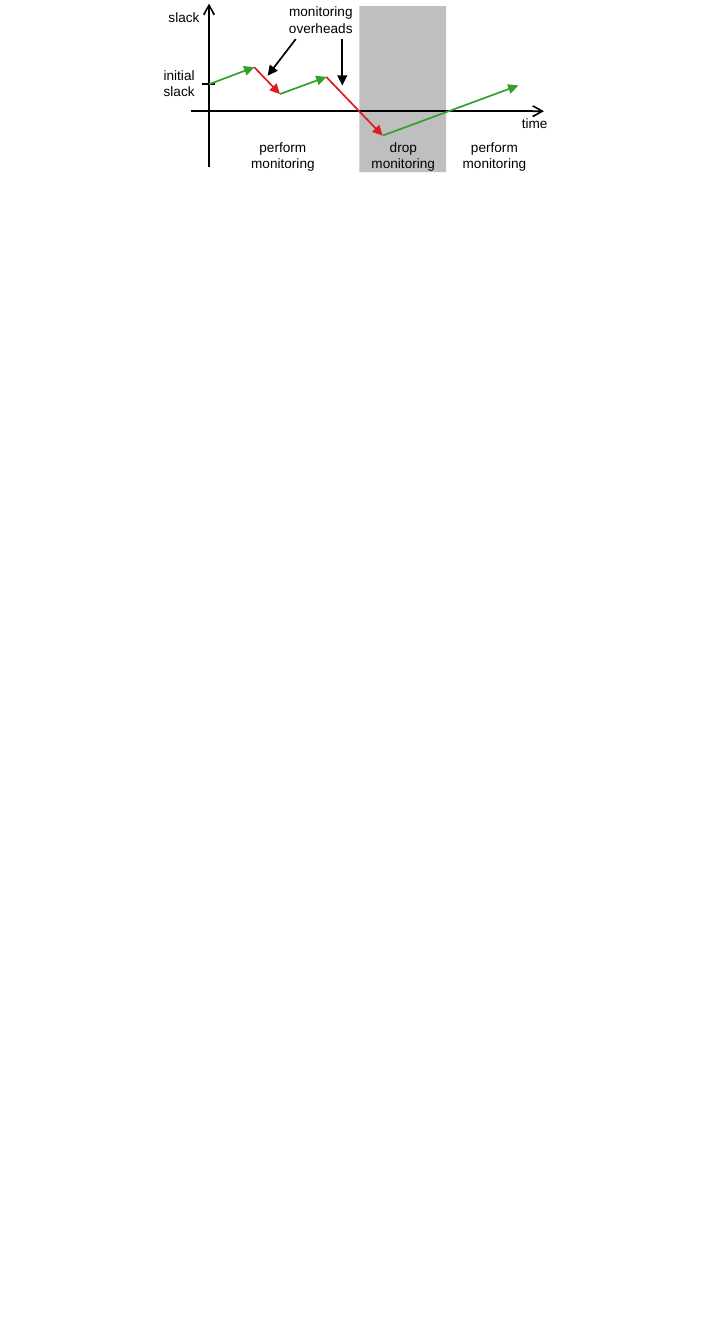
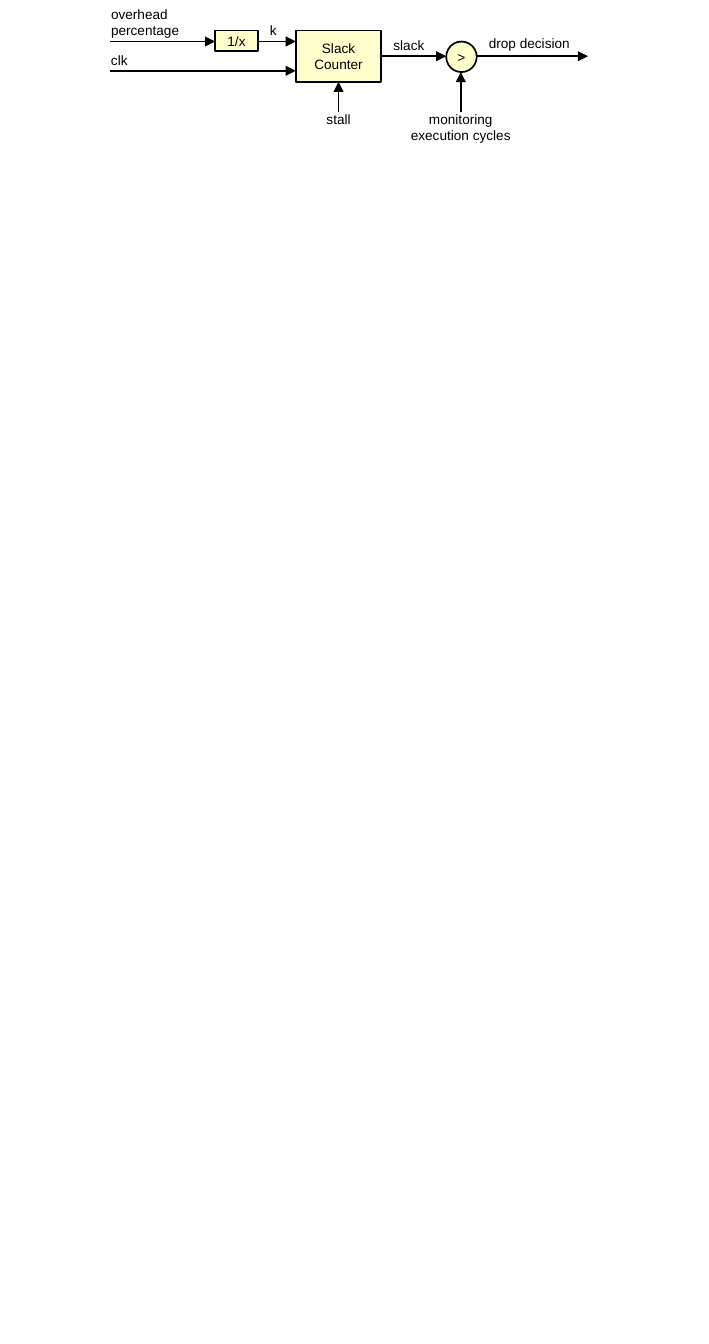
from dataclasses import dataclass
from itertools import cycle
from lxml.etree import SubElement
from pptx import Presentation
from pptx.dml.color import RGBColor
from pptx.enum.shapes import MSO_CONNECTOR, MSO_SHAPE
from pptx.enum.text import MSO_ANCHOR, PP_ALIGN
from pptx.oxml.ns import qn
from pptx.util import Inches, Pt


@dataclass(frozen=True)
class Theme:
    """Colours, font and sizes of the deck."""
    ink: str = "000000"
    band: str = "BFBFBF"
    box: str = "FFFFCC"
    gain: str = "33A02C"
    loss: str = "E31A1C"
    font: str = "Arial"
    size: int = 8
    line: int = 1


class Deck:
    """Draws diagram parts on the current slide."""

    def __init__(self, theme, wide, high):
        """Start a deck of the given size in inches."""
        self.theme = theme
        self.file = Presentation()
        self.file.slide_width = Inches(wide)
        self.file.slide_height = Inches(high)
        self.slide = None

    def page(self):
        """Add a blank slide and make it current."""
        self.slide = self.file.slides.add_slide(self.file.slide_layouts[6])

    def letter(self, shape, text, align, anchor):
        """Put styled text in a shape."""
        frame = shape.text_frame
        frame.word_wrap = True
        frame.vertical_anchor = anchor
        frame.text = text
        part = frame.paragraphs[0]
        part.alignment = align
        part.font.name = self.theme.font
        part.font.size = Pt(self.theme.size)
        part.font.color.rgb = RGBColor.from_string(self.theme.ink)

    def label(self, text, spot, align=PP_ALIGN.LEFT, anchor=MSO_ANCHOR.TOP):
        """Add a text box."""
        box = self.slide.shapes.add_textbox(*map(Inches, spot))
        self.letter(box, text, align, anchor)

    def shape(self, kind, spot, fill):
        """Add a filled shape with no outline."""
        item = self.slide.shapes.add_shape(kind, *map(Inches, spot))
        item.shadow.inherit = False
        item.fill.solid()
        item.fill.fore_color.rgb = RGBColor.from_string(fill)
        item.line.fill.background()
        return item

    def block(self, text, spot, kind=MSO_SHAPE.RECTANGLE):
        """Add an outlined block with centred text."""
        item = self.shape(kind, spot, self.theme.box)
        item.line.color.rgb = RGBColor.from_string(self.theme.ink)
        item.line.width = Pt(self.theme.line)
        frame = item.text_frame
        frame.margin_left = frame.margin_right = 0
        frame.margin_top = frame.margin_bottom = 0
        self.letter(item, text, PP_ALIGN.CENTER, MSO_ANCHOR.MIDDLE)

    def line(self, start, end, head="triangle", color=None):
        """Add a straight line with an optional arrowhead at its end."""
        item = self.slide.shapes.add_connector(
            MSO_CONNECTOR.STRAIGHT, *map(Inches, (*start, *end)))
        item.line.color.rgb = RGBColor.from_string(color or self.theme.ink)
        item.line.width = Pt(self.theme.line)
        props = item.element.spPr
        if head:
            SubElement(props.find(qn("a:ln")), qn("a:tailEnd"), type=head)
        SubElement(props, qn("a:effectLst"))

    def trace(self, points, colors):
        """Join points with arrows whose colours take turns."""
        for start, end, color in zip(points, points[1:], cycle(colors)):
            self.line(start, end, color=color)


def chart(deck):
    """Draw slack over time."""
    deck.page()
    theme = deck.theme
    left, base, first = 1.71, 0.91, 0.69
    deck.shape(MSO_SHAPE.RECTANGLE, (2.94, 0.05, 0.71, 1.36), theme.band)
    deck.line((left, 1.37), (left, 0.03), "arrow")
    deck.line((1.56, base), (4.45, base), "arrow")
    deck.line((1.76, first), (1.65, first), None)
    deck.trace([(left, first), (2.08, 0.55), (2.29, 0.77), (2.67, 0.63),
                (3.13, 1.11), (4.24, 0.7)], (theme.gain, theme.loss))
    deck.line((2.42, 0.32), (2.19, 0.62))
    deck.line((2.8, 0.32), (2.8, 0.7))
    side, mid = PP_ALIGN.LEFT, PP_ALIGN.CENTER
    for text, x, y, wide, align in (
            ("time", 4.17, 0.9, 0.48, side),
            ("slack", 1.28, 0.03, 0.55, side),
            ("initial slack", 1.24, 0.57, 0.55, side),
            ("monitoring overheads", 2.2, 0.05, 0.85, mid),
            ("perform monitoring", 1.91, 1.16, 0.81, mid),
            ("drop monitoring", 2.9, 1.16, 0.8, mid),
            ("perform monitoring", 3.64, 1.16, 0.81, mid)):
        deck.label(text, (x, y, wide, 0.22), align, MSO_ANCHOR.MIDDLE)


def flow(deck):
    """Draw the drop decision logic."""
    deck.page()
    top, mid, low, foot = 0.34, 0.46, 0.58, 0.92
    deck.block("1/x", (1.76, 0.25, 0.35, 0.17))
    deck.block("Slack Counter", (2.42, 0.25, 0.7, 0.42))
    deck.block(">", (3.65, 0.34, 0.25, 0.25), MSO_SHAPE.OVAL)
    for start, end, y in ((0.9, 1.76, top), (2.11, 2.42, top),
                          (0.9, 2.42, low), (3.12, 3.65, mid),
                          (3.9, 4.81, mid)):
        deck.line((start, y), (end, y))
    for x, y in ((2.77, 0.67), (3.77, 0.59)):
        deck.line((x, foot), (x, y))
    for text, *spot in (("overhead percentage", 0.81, 0, 0.95, 0.37),
                        ("clk", 0.81, 0.38, 0.87, 0.24),
                        ("k", 2.11, 0.13, 0.31, 0.24),
                        ("slack", 3.12, 0.25, 0.52, 0.24),
                        ("drop decision", 3.9, 0.24, 1.08, 0.24)):
        deck.label(text, spot)
    for text, *spot in (("stall", 2.51, 0.86, 0.52, 0.24),
                        ("monitoring execution cycles",
                         3.23, 0.86, 1.08, 0.37)):
        deck.label(text, spot, PP_ALIGN.CENTER)


def main():
    """Build and save the deck."""
    deck = Deck(Theme(), 5.8, 11)
    chart(deck)
    flow(deck)
    deck.file.save("out.pptx")


main()
